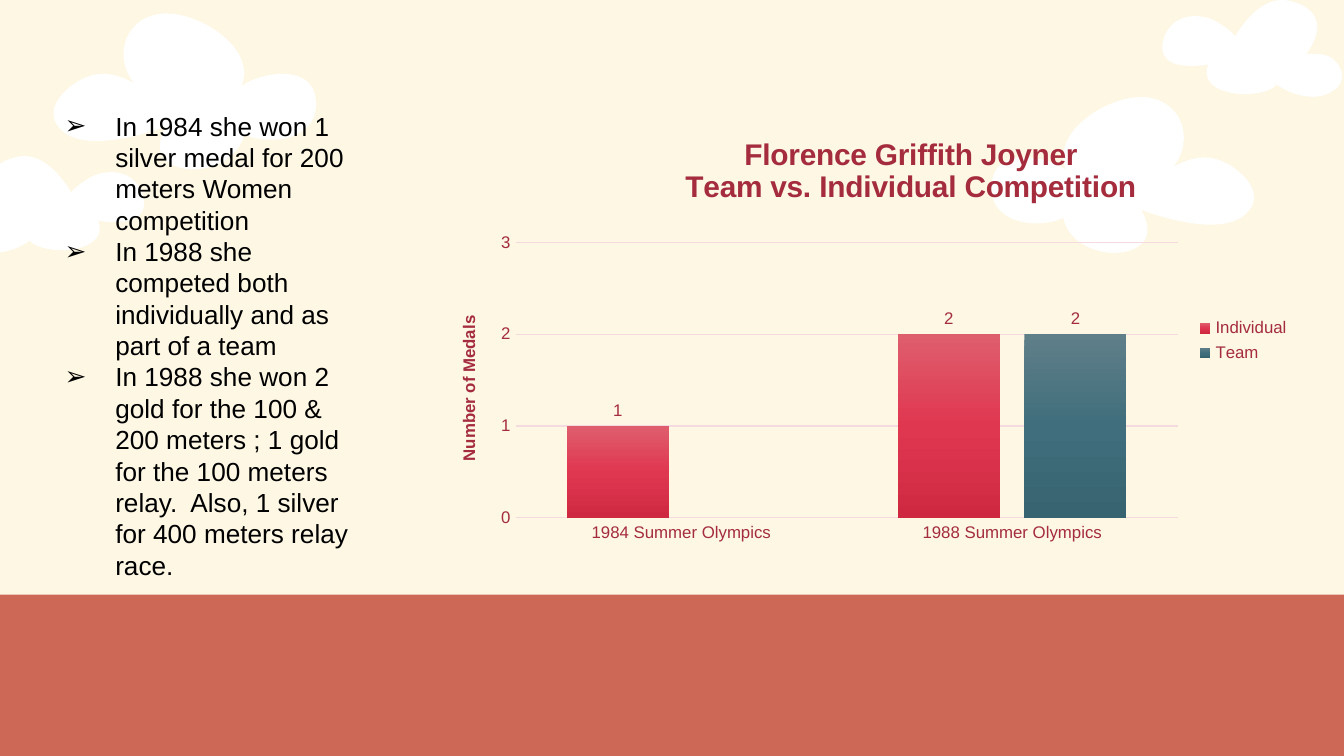
from dataclasses import dataclass

from pptx import Presentation
from pptx.chart.data import CategoryChartData
from pptx.dml.color import RGBColor
from pptx.enum.chart import XL_CHART_TYPE as ChartType
from pptx.enum.chart import XL_LABEL_POSITION as LabelPosition
from pptx.enum.chart import XL_LEGEND_POSITION as LegendPosition
from pptx.enum.chart import XL_TICK_MARK as TickMark
from pptx.enum.shapes import MSO_SHAPE as Preset
from pptx.enum.text import MSO_ANCHOR as Anchor
from pptx.oxml import parse_xml
from pptx.oxml.ns import nsdecls, qn
from pptx.util import Cm, Pt


@dataclass(frozen=True)
class Theme:
    font: str = "Arial"
    sky: str = "FDF7E4"
    ground: str = "CD6857"
    cloud: str = "FFFFFF"
    ink: str = "000000"
    crimson: str = "A42C3D"
    grid: str = "F5DBDF"
    bars: tuple = (("DE5E6D", "E03751", "CF2942"), ("5F7F89", "406E7C", "376470"))
    body: int = 14
    heading: int = 16
    label: int = 9


SMALL_CLOUD = (139, (46, 0), [
    (61, 0, 73, 14, 81, 27), (84, 23, 90, 19, 95, 16), (100, 13, 106, 12, 111, 12),
    (121, 12, 130, 17, 134, 28), (139, 45, 127, 49, 114, 49),
    (110, 49, 105, 49, 101, 48), (107, 63, 90, 70, 74, 70),
    (64, 70, 55, 68, 50, 63), (43, 68, 33, 72, 23, 72), (17, 72, 11, 70, 6, 66),
    (0, 61, 0, 52, 6, 46), (10, 41, 17, 40, 23, 40), (25, 40, 27, 40, 28, 40),
    (18, 27, 15, 11, 33, 3), (38, 1, 42, 0, 46, 0)])
LARGE_CLOUD = (202, (88, 1), [
    (114, 1, 155, 27, 144, 55), (151, 50, 163, 46, 174, 46),
    (186, 46, 197, 50, 199, 64), (202, 86, 184, 95, 166, 95),
    (159, 95, 152, 94, 146, 91), (142, 108, 124, 117, 108, 117),
    (90, 117, 75, 106, 88, 85), (77, 89, 55, 96, 36, 96), (22, 96, 10, 92, 5, 81),
    (0, 68, 15, 55, 25, 50), (31, 47, 36, 46, 41, 46), (49, 46, 57, 49, 64, 53),
    (48, 33, 57, 3, 86, 1), (86, 1, 87, 1, 88, 1)])
CLOUD_UNIT = 0.0254


def rgb(code):
    return RGBColor.from_string(code)


def style_font(font, size, color, bold=False):
    font.name, font.size, font.bold = Theme.font, Pt(size), bold
    font.color.rgb = rgb(color)


def write(frame, lines, size, color, bold=False, spacing=None, bullet=None):
    for index, line in enumerate(lines):
        paragraph = frame.paragraphs[0] if index == 0 else frame.add_paragraph()
        run = paragraph.add_run()
        run.text = line
        style_font(run.font, size, color, bold)
        paragraph.line_spacing = spacing
        if bullet:
            props = paragraph._p.get_or_add_pPr()
            props.set("marL", str(Cm(0.96)))
            props.set("indent", str(-Cm(0.96)))
            ns = nsdecls("a")
            props.append(parse_xml(f'<a:buClr {ns}><a:srgbClr val="{color}"/></a:buClr>'))
            props.append(parse_xml(f'<a:buFont {ns} typeface="{Theme.font}"/>'))
            props.append(parse_xml(f'<a:buChar {ns} char="{bullet}"/>'))


def place(element, index, **fractions):
    for old in element.findall(qn("c:layout")):
        element.remove(old)
    modes = "".join(f'<c:{axis}Mode val="edge"/>' for axis in "xy")
    target = '<c:layoutTarget val="inner"/>' if "w" in fractions else ""
    values = "".join(f'<c:{key} val="{value}"/>' for key, value in fractions.items())
    element.insert(index, parse_xml(
        f'<c:layout {nsdecls("c")}><c:manualLayout>{target}{modes}{values}'
        "</c:manualLayout></c:layout>"))


class Board:
    def __init__(self, slide, theme):
        self.slide, self.theme = slide, theme
        slide.background.fill.solid()
        slide.background.fill.fore_color.rgb = rgb(theme.sky)

    def paint(self, shape, color):
        shape.shadow.inherit = False
        shape.fill.solid()
        shape.fill.fore_color.rgb = rgb(color)
        shape.line.fill.background()

    def ground(self, *box):
        band = self.slide.shapes.add_shape(Preset.RECTANGLE, *map(Cm, box))
        self.paint(band, self.theme.ground)

    def cloud(self, outline, left, top, mirrored=False):
        width, start, curves = outline

        def locate(x, y):
            return (Cm(left + CLOUD_UNIT * (width - x if mirrored else x)),
                    Cm(top + CLOUD_UNIT * y))

        builder = self.slide.shapes.build_freeform(*locate(*start))
        builder.add_line_segments([locate(*curve[4:]) for curve in curves], close=False)
        puff = builder.convert_to_shape()
        segments = list(puff._element.iter(qn("a:lnTo")))
        for segment, curve in zip(segments, curves):
            spots = [locate(*curve[i:i + 2]) for i in (0, 2, 4)]
            points = "".join(f'<a:pt x="{x - puff.left}" y="{y - puff.top}"/>'
                             for x, y in spots)
            segment.getparent().replace(segment, parse_xml(
                f'<a:cubicBezTo {nsdecls("a")}>{points}</a:cubicBezTo>'))
        next(puff._element.iter(qn("a:moveTo"))).getparent().append(
            parse_xml(f'<a:close {nsdecls("a")}/>'))
        self.paint(puff, self.theme.cloud)

    def bullets(self, lines, *box):
        frame = self.slide.shapes.add_textbox(*map(Cm, box)).text_frame
        frame.word_wrap = True
        frame.vertical_anchor = Anchor.MIDDLE
        write(frame, lines, self.theme.body, self.theme.ink, bullet="➢")

    def medal_chart(self, title, axis_title, categories, medals, *box):
        theme = self.theme
        data = CategoryChartData()
        data.categories = categories
        for name, counts in medals.items():
            data.add_series(name, counts)
        chart = self.slide.shapes.add_chart(
            ChartType.COLUMN_CLUSTERED, *map(Cm, box), data).chart
        style_font(chart.font, theme.label, theme.crimson)

        heading = chart.chart_title
        write(heading.text_frame, title, theme.heading, theme.crimson,
              bold=True, spacing=0.9)
        place(heading._element, 1, x=0.287, y=0.002)
        place(chart._chartSpace.chart.plotArea, 0, x=0.097, y=0.266, w=0.759, h=0.657)

        chart.has_legend = True
        chart.legend.position = LegendPosition.RIGHT
        chart.legend.include_in_layout = False
        style_font(chart.legend.font, theme.label, theme.crimson)

        years, count = chart.category_axis, chart.value_axis
        for axis in (years, count):
            axis.major_tick_mark = axis.minor_tick_mark = TickMark.NONE
            style_font(axis.tick_labels.font, theme.label, theme.crimson)
        count.minimum_scale, count.maximum_scale, count.major_unit = 0, 3, 1
        count.format.line.fill.background()
        for line in (years.format.line, count.major_gridlines.format.line):
            line.color.rgb, line.width = rgb(theme.grid), Pt(0.75)
        caption = count.axis_title
        write(caption.text_frame, [axis_title], theme.label, theme.crimson, bold=True)
        caption.text_frame._txBody.bodyPr.set("rot", "-5400000")
        caption.text_frame._txBody.bodyPr.set("vert", "horz")
        place(caption._element, 1, x=0.027, y=0.433)

        plot = chart.plots[0]
        plot.gap_width, plot.overlap, plot.vary_by_categories = 100, -24, False
        for series, shades in zip(plot.series, theme.bars):
            stops = "".join(
                f'<a:gs pos="{index * 50000}"><a:srgbClr val="{shade}"/></a:gs>'
                for index, shade in enumerate(shades))
            series.format._element.get_or_add_spPr().append(parse_xml(
                f'<a:gradFill {nsdecls("a")}><a:gsLst>{stops}</a:gsLst>'
                '<a:lin ang="5400000" scaled="0"/></a:gradFill>'))
            labels = series.data_labels
            labels.show_value = True
            labels.position = LabelPosition.OUTSIDE_END
            style_font(labels.font, theme.label, theme.crimson)


def main():
    deck = Presentation()
    deck.slide_width, deck.slide_height = Cm(25.4), Cm(14.29)
    board = Board(deck.slides.add_slide(deck.slide_layouts[6]), Theme())
    board.ground(-0.08, 11.24, 25.55, 3.2)
    board.cloud(SMALL_CLOUD, -0.71, 2.95)
    board.cloud(LARGE_CLOUD, 0.91, 0.23)
    board.cloud(SMALL_CLOUD, 21.87, 0, mirrored=True)
    board.cloud(LARGE_CLOUD, 18.67, 1.81, mirrored=True)
    board.bullets([
        "In 1984 she won 1 silver medal for 200 meters Women competition",
        "In 1988 she competed both individually and as part of a team",
        "In 1988 she won 2 gold for the 100 & 200 meters ; 1 gold for the 100 meters "
        "relay.  Also, 1 silver for 400 meters relay race.",
    ], 0.97, 1.9, 6.02, 9.25)
    board.medal_chart(
        ["Florence Griffith Joyner", "Team vs. Individual Competition"],
        "Number of Medals", ["1984 Summer Olympics", "1988 Summer Olympics"],
        {"Individual": (1, 2), "Team": (None, 2)}, 8.15, 2.48, 16.48, 7.92)
    deck.save("out.pptx")


if __name__ == "__main__":
    main()
